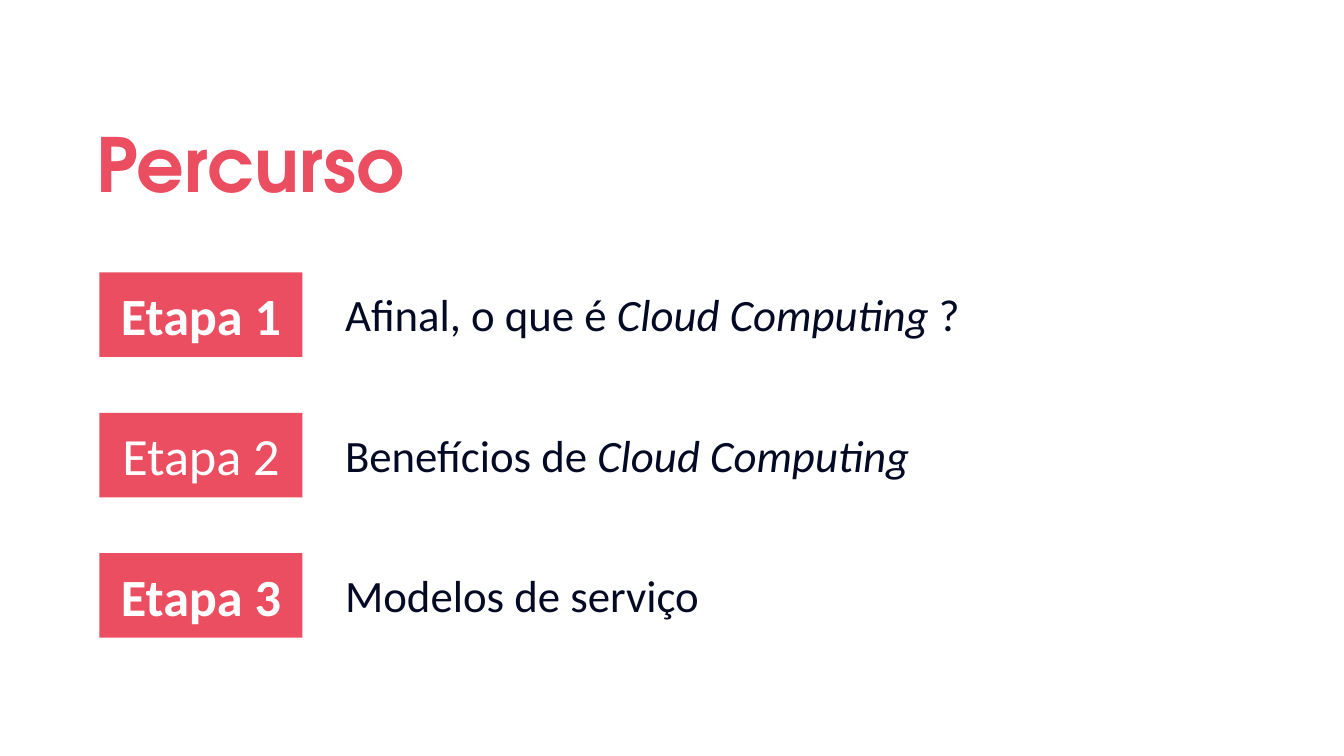
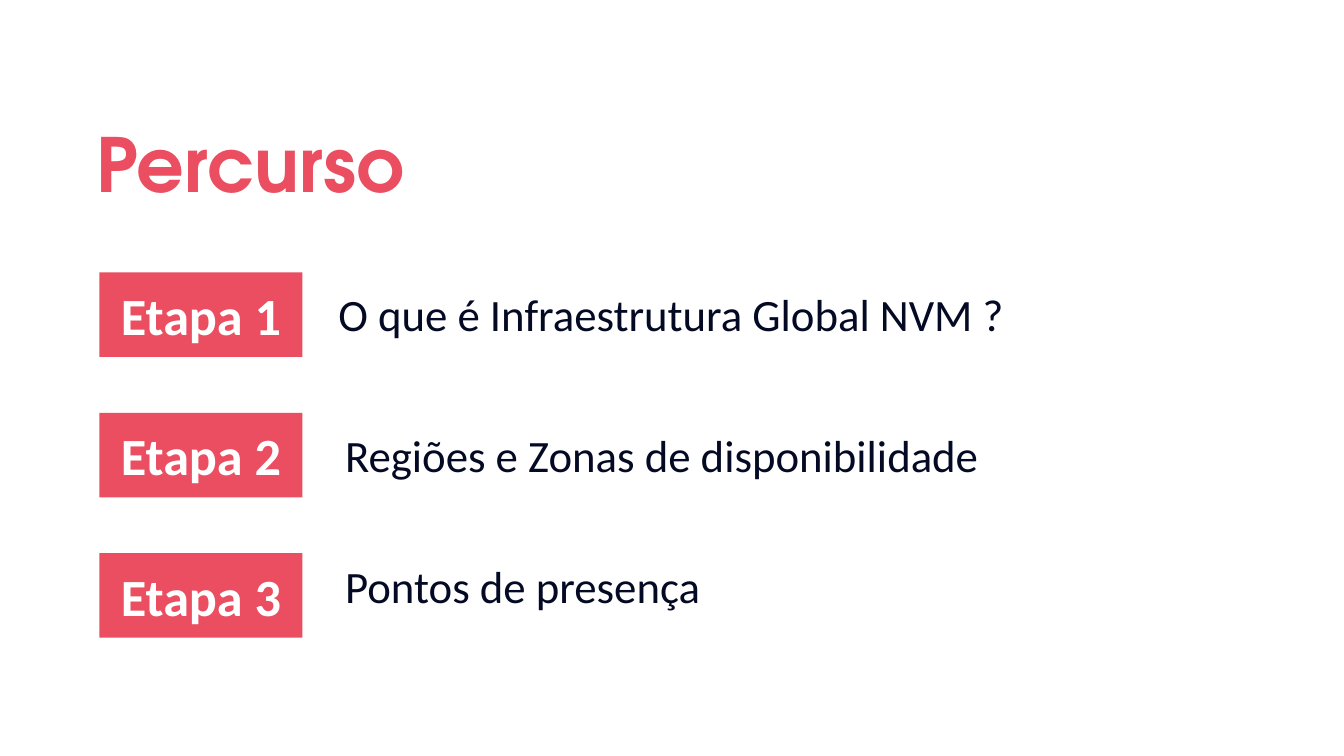
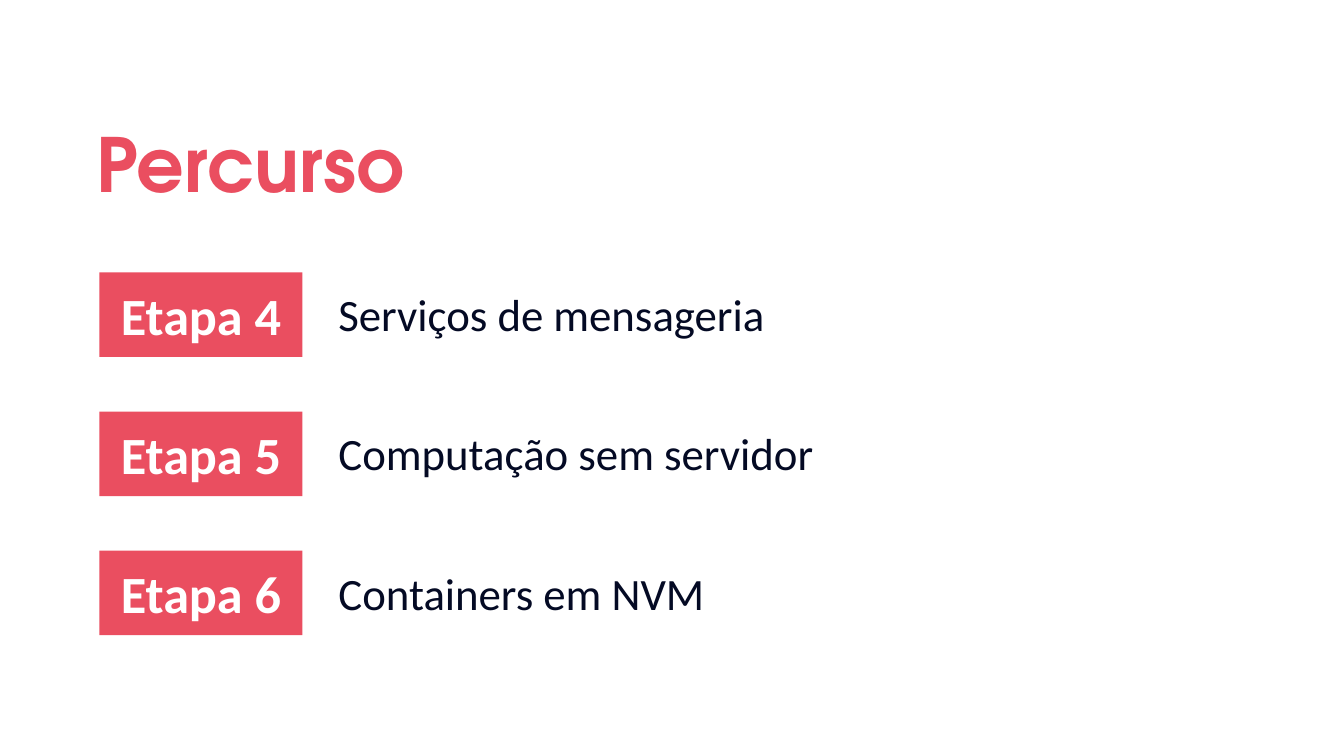
import pptx
import pptx.dml.color
import pptx.enum.shapes
import pptx.enum.text
import pptx.util

Pt = pptx.util.Pt
RGB = pptx.dml.color.RGBColor.from_string
ALIGN = pptx.enum.text.PP_ALIGN
ANCHOR = pptx.enum.text.MSO_ANCHOR


class Theme:
    background = RGB("FFFFFF")
    accent = RGB("EA4E60")
    title = dict(name="TeX Gyre Adventor", size=Pt(40), bold=True, color=accent)
    badge = dict(name="Calibri", size=Pt(28), bold=True, color=background)
    topic = dict(name="Calibri", size=Pt(24), color=RGB("040A24"))


ROW_TOP = 146
BADGE_LEFT, BADGE_WIDTH, BADGE_HEIGHT = 53.3, 108.8, 45.3
TOPIC_WIDTH, TOPIC_HEIGHT = 486, 36
TOPIC_DROP = 4.3
HANGING = 36


class Deck:
    def __init__(self, theme):
        self.theme = theme
        self.prs = pptx.Presentation()
        self.prs.slide_width, self.prs.slide_height = Pt(720), Pt(405)
        self.s = None

    def add_slide(self, title):
        self.s = self.prs.slides.add_slide(self.prs.slide_layouts[5])
        fill = self.s.background.fill
        fill.solid()
        fill.fore_color.rgb = self.theme.background
        sp = self.s.shapes.title
        place = dict(left=44.6, top=50.4, width=583.2, height=66.2)
        for name, value in place.items():
            setattr(sp, name, Pt(value))
        p = self.set_text(sp, [title], self.theme.title, ALIGN.LEFT, ANCHOR.MIDDLE, 7.2)
        p.line_spacing = 1.15

    def set_text(self, sp, texts, style, align, anchor, inset_y):
        """Fill one paragraph; every second text is in italics."""
        tf = sp.text_frame
        frame = dict(word_wrap=True, auto_size=pptx.enum.text.MSO_AUTO_SIZE.NONE,
                     vertical_anchor=anchor, margin_left=Pt(7.2), margin_right=Pt(7.2),
                     margin_top=Pt(inset_y), margin_bottom=Pt(inset_y))
        for name, value in frame.items():
            setattr(tf, name, value)
        p = tf.paragraphs[0]
        p.alignment = align
        for i, text in enumerate(texts):
            r = p.add_run()
            r.text = text
            for name, value in style.items():
                if name == "color":
                    r.font.color.rgb = value
                else:
                    setattr(r.font, name, value)
            if i % 2:
                r.font.italic = True
        return p

    def badge(self, top, text, bold):
        sp = self.s.shapes.add_shape(
            pptx.enum.shapes.MSO_SHAPE.RECTANGLE,
            Pt(BADGE_LEFT), Pt(top), Pt(BADGE_WIDTH), Pt(BADGE_HEIGHT))
        sp.shadow.inherit = False
        sp.fill.solid()
        sp.fill.fore_color.rgb = self.theme.accent
        sp.line.fill.background()
        style = self.theme.badge | dict(bold=bold)
        self.set_text(sp, [text], style, ALIGN.CENTER, ANCHOR.MIDDLE, 7.2)

    def topic(self, left, top, texts):
        sp = self.s.shapes.add_textbox(Pt(left), Pt(top), Pt(TOPIC_WIDTH), Pt(TOPIC_HEIGHT))
        p = self.set_text(sp, texts, self.theme.topic, ALIGN.LEFT, ANCHOR.TOP, 3.6)
        pPr = p._p.get_or_add_pPr()
        pPr.set("marL", str(Pt(HANGING)))
        pPr.set("indent", str(-Pt(HANGING)))

    def route(self, topics, first=1, pitch=75.2, lefts=(177.8,) * 3, plain=(), lifts=(0, 0, 0)):
        """Add a slide of numbered steps; plain lists the steps not in bold."""
        self.add_slide("Percurso")
        for i, (texts, left, lift) in enumerate(zip(topics, lefts, lifts)):
            top = ROW_TOP + i * pitch
            step = first + i
            self.badge(top, f"Etapa {step}", step not in plain)
            self.topic(left, top + TOPIC_DROP - lift, texts)


def main():
    deck = Deck(Theme)
    deck.route([["Afinal, o que é ", "Cloud Computing", " ?"],
                ["Benefícios de ", "Cloud Computing"],
                ["Modelos de serviço"]], plain=(2,))
    deck.route([["O que é Infraestrutura Global NVM ?"],
                ["Regiões e Zonas de disponibilidade"],
                ["Pontos de presença"]], lefts=(174.2, 177.8, 177.8), lifts=(0, 0, 5))
    deck.route([["Serviços de mensageria"],
                ["Computação sem servidor"],
                ["Containers em NVM"]], first=4, pitch=74.5, lefts=(174.2,) * 3)
    deck.prs.save("out.pptx")


if __name__ == "__main__":
    main()
